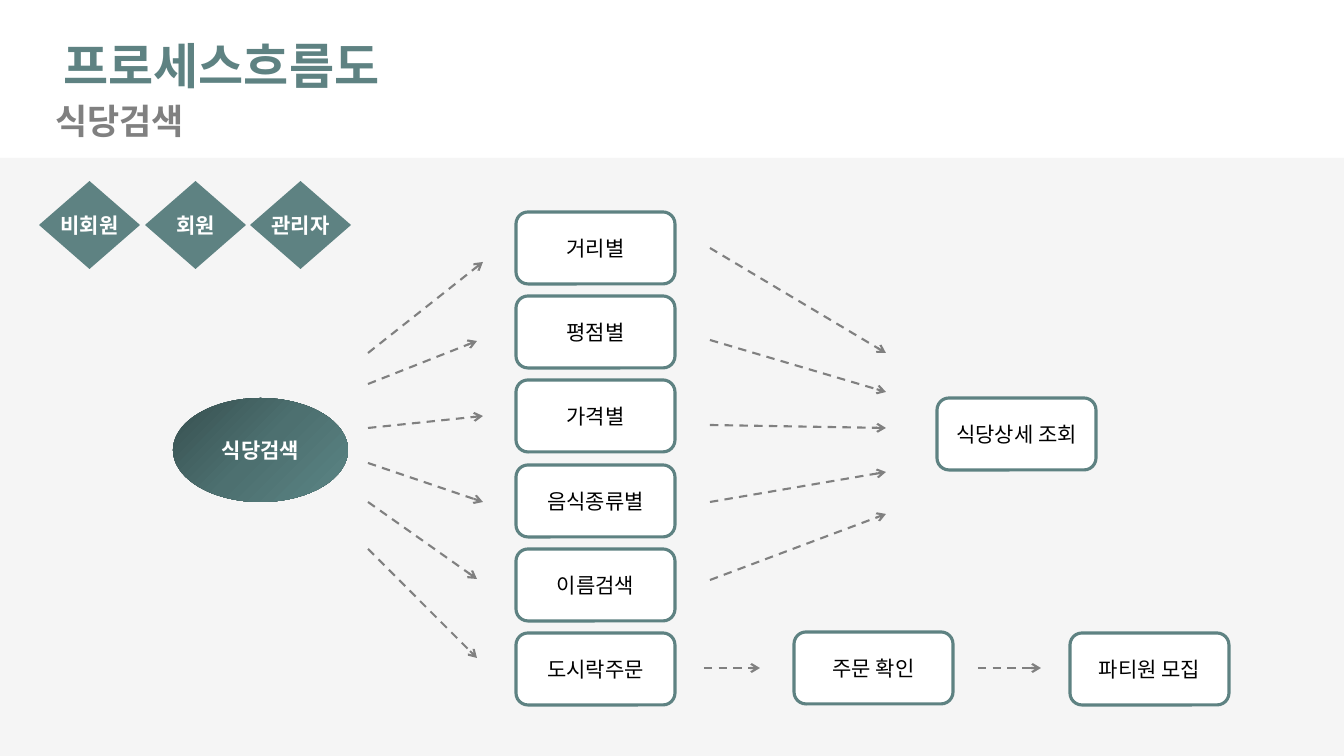
from copy import deepcopy

from lxml.etree import SubElement
from pptx import Presentation
from pptx.dml.color import RGBColor
from pptx.enum.dml import MSO_LINE
from pptx.enum.shapes import MSO_CONNECTOR, MSO_SHAPE as SHAPE
from pptx.enum.text import MSO_ANCHOR, PP_ALIGN
from pptx.oxml.ns import qn
from pptx.util import Pt

PX = 914400 / 100.8
FONT = "Noto Sans CJK KR"
COLORS = {
    "white": "FFFFFF", "black": "000000", "gray": "808080", "panel": "F5F5F5",
    "teal": "5E8282", "dark": "364F4F", "middle": "4D7070", "light": "5B8585",
}
RGB = {name: RGBColor.from_string(value) for name, value in COLORS.items()}


def add_shape(kind, *box, fill):
    sp = slide.shapes.add_shape(kind, *(round(v * PX) for v in box))
    sp.shadow.inherit = False
    sp.fill.solid()
    sp.fill.fore_color.rgb = RGB[fill]
    sp.line.fill.background()
    return sp


def add_text(sp, text, size, color, bold):
    tf = sp.text_frame
    tf.word_wrap = False
    tf.vertical_anchor = MSO_ANCHOR.MIDDLE
    p = tf.paragraphs[0]
    p.text = text
    p.alignment = PP_ALIGN.CENTER
    p.font.name = FONT
    p.font.size = Pt(size)
    p.font.bold = bold
    p.font.color.rgb = RGB[color]
    SubElement(p._p.pPr.find(qn("a:defRPr")), qn("a:ea"), typeface=FONT)


prs = Presentation()
prs.slide_width, prs.slide_height = round(1344 * PX), round(756 * PX)
slide = prs.slides.add_slide(prs.slide_layouts[6])

add_shape(SHAPE.RECTANGLE, 0, 158, 1344, 598, fill="panel")

for text, box, size, color in [
    ("프로세스흐름도", (38, 30, 367, 70), 35, "teal"),
    ("식당검색", (39, 95, 161, 52), 25, "gray"),
]:
    sp = slide.shapes.add_textbox(*(round(v * PX) for v in box))
    add_text(sp, text, size, color, True)

search = add_shape(SHAPE.OVAL, 173, 398, 175, 104, fill="teal")
search.fill.gradient()
search.fill.gradient_angle = 315
first = search._element.spPr.find(".//" + qn("a:gs"))
first.addnext(deepcopy(first))
for stop, color, position in zip(
    search.fill.gradient_stops, ("dark", "middle", "light"), (0, 0.5, 1)
):
    stop.color.rgb = RGB[color]
    stop.position = position
add_text(search, "식당검색", 15, "white", True)

filters = ["거리별", "평점별", "가격별", "음식종류별", "이름검색", "도시락주문"]
steps = [(text, 516, 212 + round(84.2 * i)) for i, text in enumerate(filters)]
steps += [("식당상세 조회", 937, 398), ("주문 확인", 794, 632), ("파티원 모집", 1070, 633)]
for text, left, top in steps:
    sp = add_shape(SHAPE.ROUNDED_RECTANGLE, left, top, 159, 72, fill="white")
    sp.line.color.rgb = RGB["teal"]
    sp.line.width = Pt(2.25)
    add_text(sp, text, 15, "black", False)

for i, text in enumerate(["비회원", "회원", "관리자"]):
    sp = add_shape(SHAPE.DIAMOND, 39 + round(105.5 * i), 181, 101, 88, fill="teal")
    add_text(sp, text, 15, "white", True)

to_filters = [(353, 483, 262), (384, 477, 341), (428, 483, 416),
              (463, 483, 502), (502, 477, 579), (549, 477, 658)]
to_detail = [(248, 353), (340, 392), (425, 428), (502, 472), (580, 514)]
arrows = [(368, y1, x2, y2) for y1, x2, y2 in to_filters]
arrows += [(710, y1, 886, y2) for y1, y2 in to_detail]
arrows += [(704, 668, 760, 668), (978, 668, 1041, 668)]
for ends in arrows:
    line = slide.shapes.add_connector(
        MSO_CONNECTOR.STRAIGHT, *(round(v * PX) for v in ends)
    )
    line.line.color.rgb = RGB["gray"]
    line.line.width = Pt(1.5)
    line.line.dash_style = MSO_LINE.DASH
    SubElement(line.line._get_or_add_ln(), qn("a:tailEnd"), type="arrow")
    SubElement(line._element.spPr, qn("a:effectLst"))

prs.save("out.pptx")
